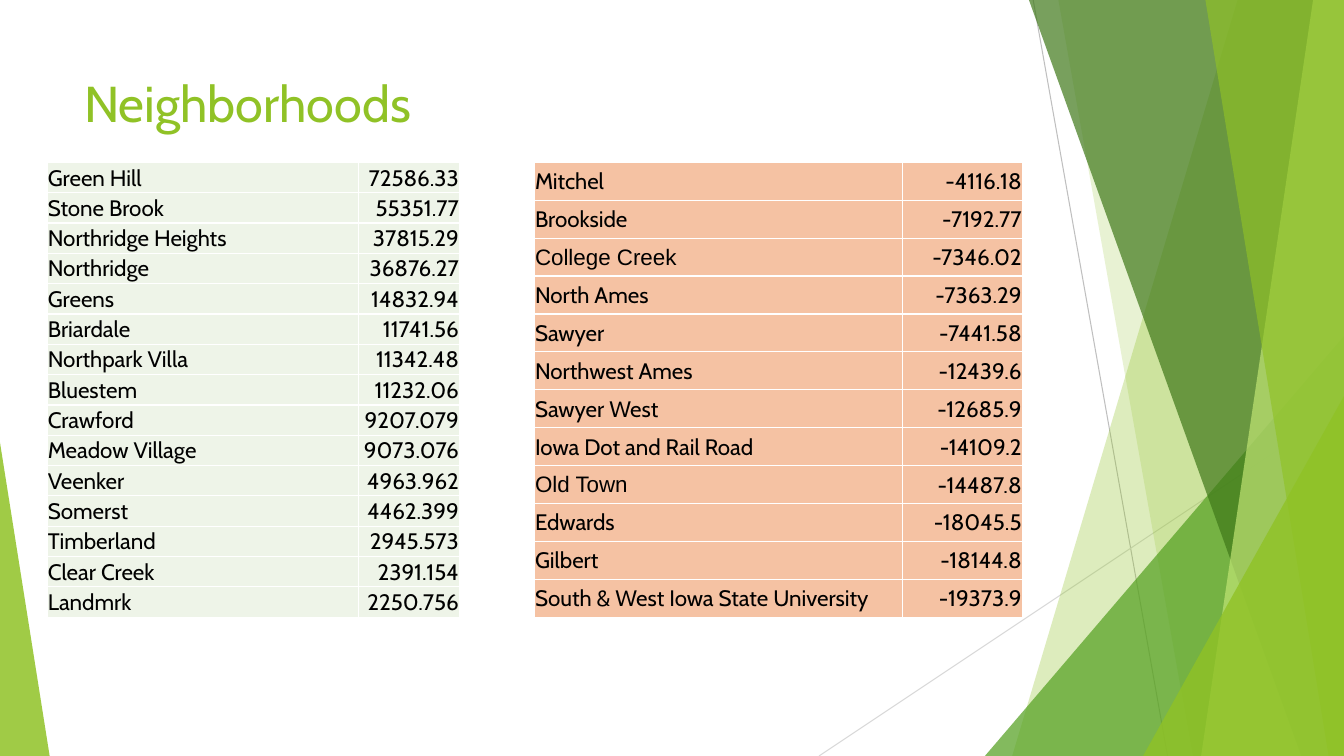
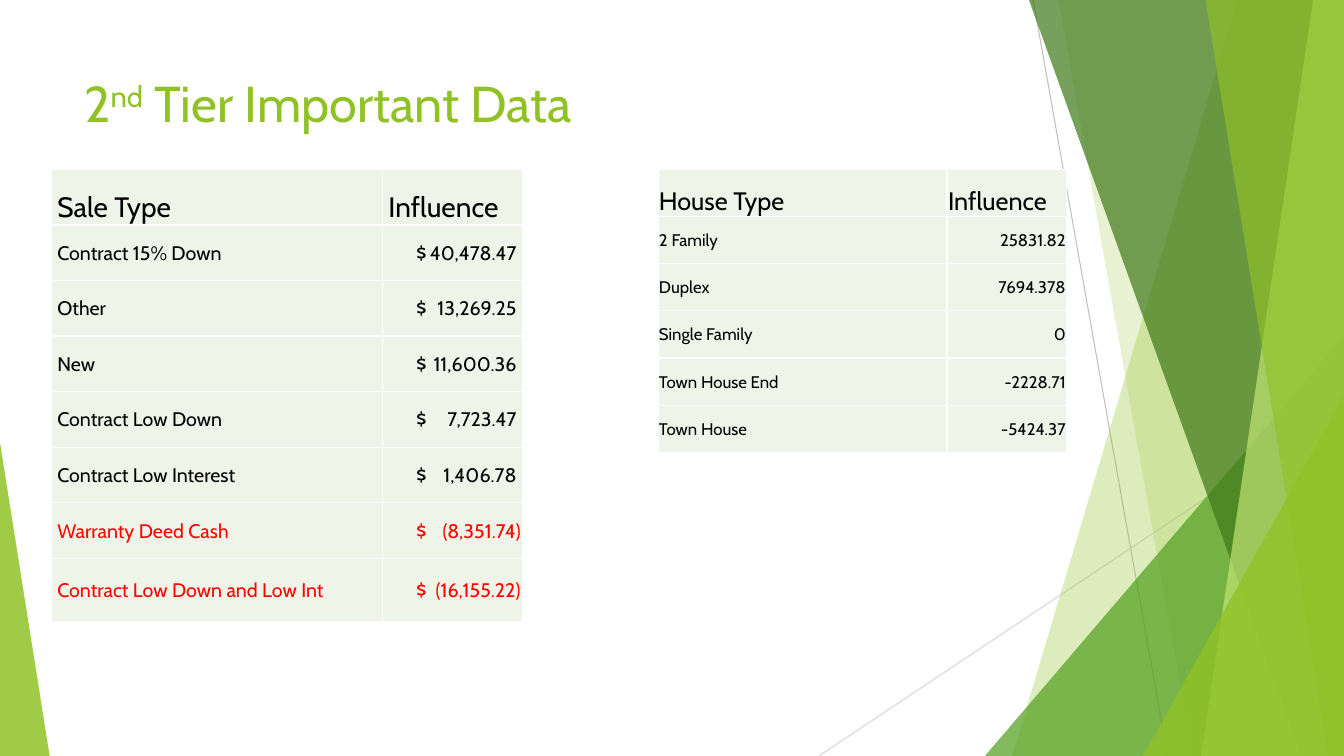
"""Build two slides of house price influences with python-pptx."""
from lxml.etree import SubElement
from pptx import Presentation
from pptx.dml.color import RGBColor
from pptx.enum.shapes import MSO_CONNECTOR, MSO_SHAPE
from pptx.enum.text import MSO_ANCHOR as ANCHOR, PP_ALIGN as ALIGN
from pptx.oxml import parse_xml
from pptx.oxml.ns import nsdecls, qn
from pptx.util import Pt

WIDTH, HEIGHT = 960, 540
FONT, ALT_FONT = "Cabin", "Arial"
GREEN = RGBColor(0x90, 0xC2, 0x26)
MID_GREEN = RGBColor(0x54, 0xA0, 0x21)
DARK_GREEN = RGBColor(0x3F, 0x78, 0x19)
LIME = RGBColor(0xC0, 0xE4, 0x74)
PALE_GREEN = RGBColor(0xEE, 0xF4, 0xE8)
PEACH = RGBColor(0xF5, 0xC2, 0xA3)
GREY = RGBColor(0xBF, 0xBF, 0xBF)
LIGHT_GREY = RGBColor(0xD9, 0xD9, 0xD9)
BLACK = RGBColor(0, 0, 0)
RED = RGBColor(0xFF, 0, 0)

GAINS = [
    ("Green Hill", "72586.33"), ("Stone Brook", "55351.77"),
    ("Northridge Heights", "37815.29"), ("Northridge", "36876.27"),
    ("Greens", "14832.94"), ("Briardale", "11741.56"),
    ("Northpark Villa", "11342.48"), ("Bluestem", "11232.06"),
    ("Crawford", "9207.079"), ("Meadow Village", "9073.076"),
    ("Veenker", "4963.962"), ("Somerst", "4462.399"),
    ("Timberland", "2945.573"), ("Clear Creek", "2391.154"),
    ("Landmrk", "2250.756"),
]
LOSSES = [
    ("Mitchel", "-4116.18"), ("Brookside", "-7192.77"),
    ("College Creek", "-7346.02"), ("North Ames", "-7363.29"),
    ("Sawyer", "-7441.58"), ("Northwest Ames", "-12439.6"),
    ("Sawyer West", "-12685.9"), ("Iowa Dot and Rail Road", "-14109.2"),
    ("Old Town", "-14487.8"), ("Edwards", "-18045.5"),
    ("Gilbert", "-18144.8"),
    ("South & West Iowa State University", "-19373.9"),
]
SALE_TYPES = [
    ("Sale Type", "Influence"),
    ("Contract 15% Down", "40,478.47"), ("Other", "13,269.25"),
    ("New", "11,600.36"), ("Contract Low Down", "7,723.47"),
    ("Contract Low Interest", "1,406.78"),
    ("Warranty Deed Cash", "(8,351.74)"),
    ("Contract Low Down and Low Int", "(16,155.22)"),
]
HOUSE_TYPES = [
    ("House Type", "Influence"),
    ("2 Family", "25831.82"), ("Duplex", "7694.378"),
    ("Single Family", "0"), ("Town House End", "-2228.71"),
    ("Town House", "-5424.37"),
]
ALT_FONT_NAMES = {"College Creek", "Old Town"}


def paint(shape, color, opacity):
    shape.shadow.inherit = False
    shape.line.fill.background()
    shape.fill.solid()
    shape.fill.fore_color.rgb = color
    clr = shape._element.spPr.find(qn("a:solidFill")).find(qn("a:srgbClr"))
    SubElement(clr, qn("a:alpha"), val=str(opacity * 1000))


def add_band(s, top_x, bottom_x, color, opacity):
    builder = s.shapes.build_freeform(Pt(top_x), 0)
    builder.add_line_segments([(Pt(WIDTH), 0), (Pt(WIDTH), Pt(HEIGHT)),
                               (Pt(bottom_x), Pt(HEIGHT))])
    paint(builder.convert_to_shape(), color, opacity)


def add_triangle(s, x, y, w, apex, color, opacity):
    sp = s.shapes.add_shape(MSO_SHAPE.ISOSCELES_TRIANGLE,
                            Pt(x), Pt(y), Pt(w), Pt(HEIGHT - y))
    sp.adjustments[0] = apex
    paint(sp, color, opacity)


def add_line(s, x1, y1, x2, y2, color):
    line = s.shapes.add_connector(MSO_CONNECTOR.STRAIGHT,
                                  Pt(x1), Pt(y1), Pt(x2), Pt(y2))
    line.line.color.rgb = color
    line.line.width = Pt(0.75)
    SubElement(line._element.spPr, qn("a:effectLst"))


def add_backdrop(s):
    add_line(s, 738, 0, 834, HEIGHT, GREY)
    add_line(s, WIDTH, 290, 585, HEIGHT, LIGHT_GREY)
    add_band(s, 884, 723, GREEN, 30)
    add_band(s, 756, 852, GREEN, 20)
    add_triangle(s, 703.5, 240, 256.5, 1, MID_GREEN, 72)
    add_band(s, 735, 929.5, DARK_GREEN, 70)
    add_band(s, 938, 858, LIME, 70)
    add_band(s, 861, 949, GREEN, 65)
    add_triangle(s, 816.5, 283, 143.5, 1, GREEN, 80)
    add_triangle(s, 0, 316, 35.5, 0, GREEN, 85)


def style(p, size, color, font=FONT):
    p.font.size = Pt(size)
    p.font.color.rgb = color
    p.font.name = font


def add_title(s, *parts):
    tf = s.shapes.add_textbox(Pt(53), Pt(48), Pt(677), Pt(104)).text_frame
    tf.word_wrap = True
    p = tf.paragraphs[0]
    style(p, 36, GREEN)
    for text, baseline in parts:
        r = p.add_run()
        r.text = text
        if baseline:
            r._r.get_or_add_rPr().set("baseline", str(baseline * 1000))


def add_borders(cell):
    tc_pr = cell._tc.get_or_add_tcPr()
    for i, side in enumerate("LRTB"):
        tc_pr.insert(i, parse_xml(
            f'<a:ln{side} {nsdecls("a")} w="12700"><a:solidFill>'
            f'<a:srgbClr val="FFFFFF"/></a:solidFill></a:ln{side}>'))


def set_tabs(p, *stops):
    tabs = SubElement(p._p.get_or_add_pPr(), qn("a:tabLst"))
    for pos, align in stops:
        SubElement(tabs, qn("a:tab"), pos=str(Pt(pos)), algn=align)


def fill_cell(cell, text, fill, size, color=BLACK, pad=0.7, header=False):
    cell.fill.solid()
    cell.fill.fore_color.rgb = fill
    add_borders(cell)
    cell.margin_left = Pt(pad)
    cell.margin_right = cell.margin_top = Pt(0.7)
    cell.margin_bottom = 0
    cell.vertical_anchor = ANCHOR.BOTTOM if header else ANCHOR.MIDDLE
    p = cell.text_frame.paragraphs[0]
    p.text = text
    return p, size, color


def add_data_table(s, x, y, widths, row_h, rows, fill, size,
                   header_size=None, pad=0.7, dollars=False):
    table = s.shapes.add_table(len(rows), 2, Pt(x), Pt(y), Pt(sum(widths)),
                               Pt(row_h * len(rows))).table
    table.first_row = table.horz_banding = False
    for column, width in zip(table.columns, widths):
        column.width = Pt(width)
    for i, (name, value) in enumerate(rows):
        table.rows[i].height = Pt(row_h)
        header = bool(header_size) and i == 0
        negative = value.startswith("(")
        money = dollars and not header
        texts = name, f"\t$\t{value}" if money else value
        for j, text in enumerate(texts):
            p, *look = fill_cell(table.cell(i, j), text, fill,
                                 header_size if header else size,
                                 RED if negative else BLACK, pad, header)
            if j and money:
                set_tabs(p, (20, "l"), (94.5 if negative else 91.5, "r"))
            elif j and not header:
                p.alignment = ALIGN.RIGHT
            style(p, *look, ALT_FONT if text in ALT_FONT_NAMES else FONT)
    return table


def add_slide(prs, *title):
    s = prs.slides.add_slide(prs.slide_layouts[6])
    add_backdrop(s)
    add_title(s, *title)
    return s


def main():
    prs = Presentation()
    prs.slide_width, prs.slide_height = Pt(WIDTH), Pt(HEIGHT)

    s = add_slide(prs, ("Neighborhoods", 0))
    add_data_table(s, 33.5, 116, (222.5, 72.5), 21.66, GAINS, PALE_GREEN, 16)
    add_data_table(s, 381.5, 116, (263, 86), 27.08, LOSSES, PEACH, 16)

    s = add_slide(prs, ("2", 0), ("nd", 30), (" Tier Important Data", 0))
    sales = add_data_table(s, 37, 121, (236.5, 100), 39.7, SALE_TYPES,
                           PALE_GREEN, 14, 20, pad=4, dollars=True)
    sales.rows[len(SALE_TYPES) - 1].height = Pt(45.5)
    add_data_table(s, 470, 121, (206.5, 85.5), 33.7, HOUSE_TYPES,
                   PALE_GREEN, 12, 18)

    prs.save("out.pptx")


if __name__ == "__main__":
    main()
